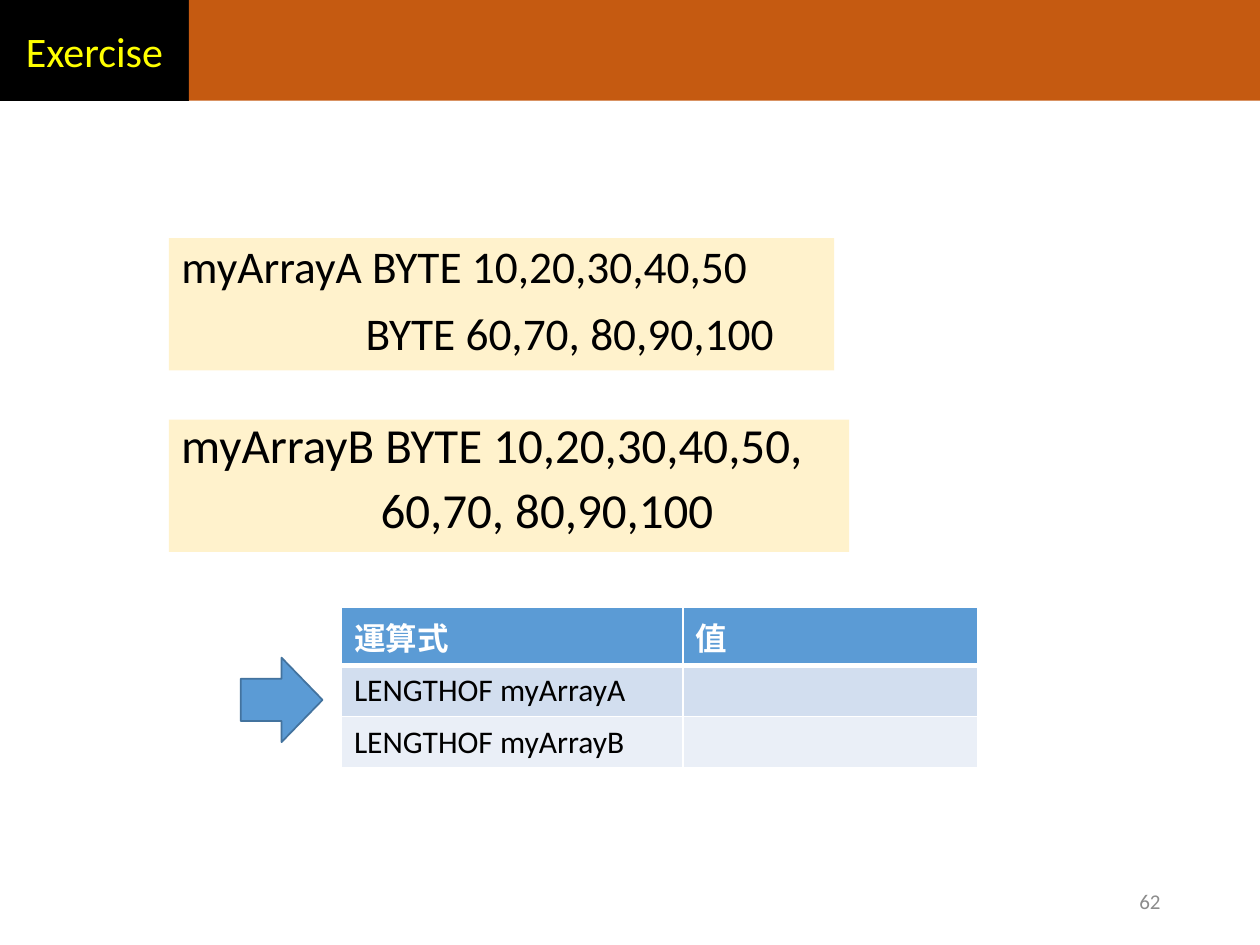
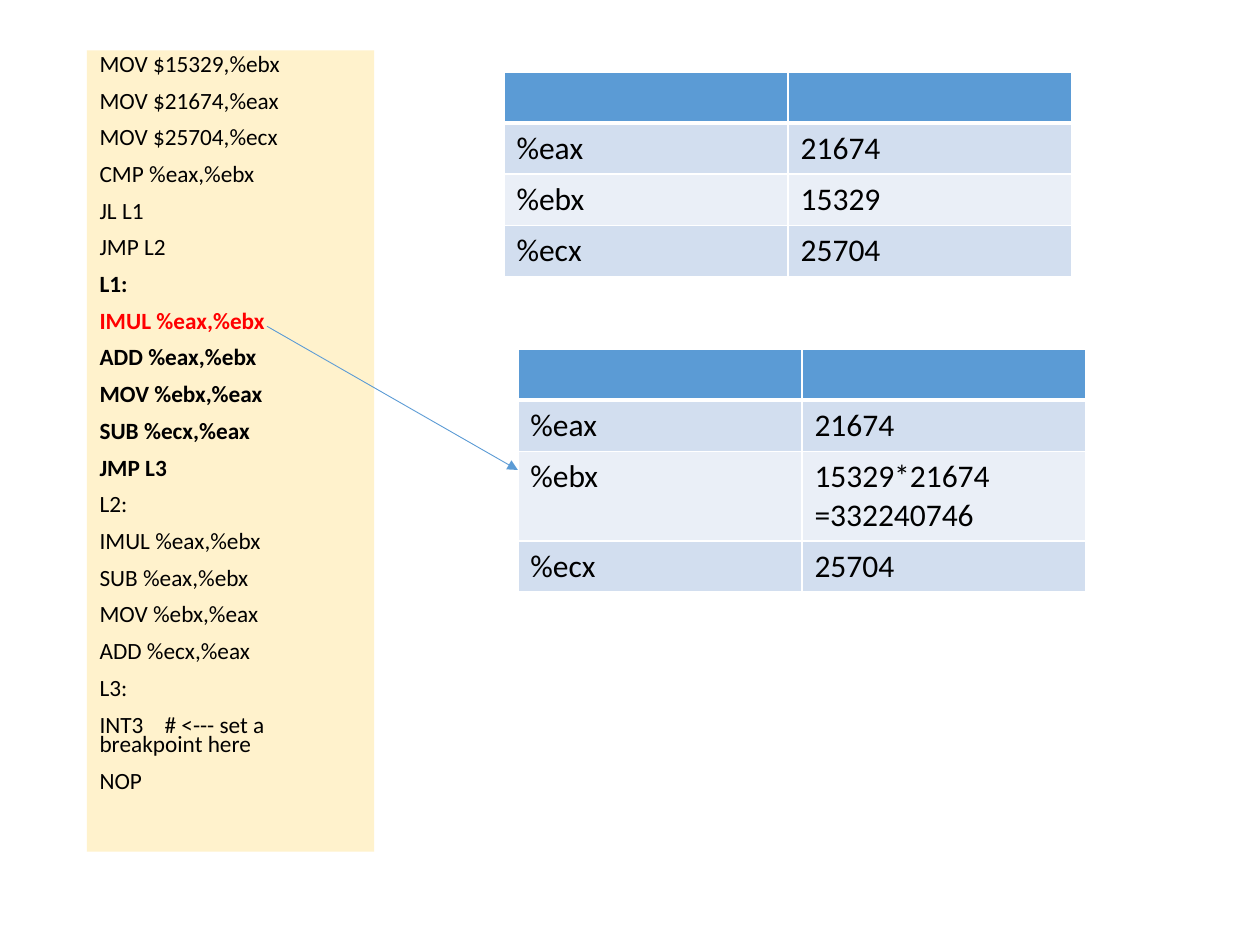
from dataclasses import dataclass

from lxml.etree import SubElement
from pptx import Presentation
from pptx.dml.color import RGBColor
from pptx.enum.shapes import MSO_CONNECTOR, MSO_SHAPE
from pptx.enum.text import MSO_ANCHOR, MSO_AUTO_SIZE, PP_ALIGN
from pptx.oxml import parse_xml
from pptx.oxml.ns import nsdecls, qn
from pptx.util import Inches, Pt

FONT = "Calibri"
COLORS = {
    "black": "000000", "white": "FFFFFF", "yellow": "FFFF00", "red": "FF0000",
    "cream": "FFF2CC", "orange": "C55A11", "blue": "5B9BD5", "edge": "43739E",
    "dark": "D2DEEF", "light": "EAEFF7", "gray": "8C8C8C",
}

# The slide is a grid of 100 columns by 75 rows
COLS, ROWS = 100, 75
WIDTH, HEIGHT = Inches(10), Inches(7.5)
UNIT = WIDTH // COLS
LINE = 4.06  # height of a table row


@dataclass(frozen=True)
class Box:
    left: float
    top: float
    width: float
    height: float

    def place(self) -> tuple:
        return tuple(round(n * UNIT) for n in
                     (self.left, self.top, self.width, self.height))


@dataclass(frozen=True)
class Code:
    box: Box
    lines: list
    size: float
    pitch: float
    gap: float = 10


@dataclass(frozen=True)
class Grid:
    left: float
    top: float
    widths: tuple
    rows: list


def tint(name: str) -> RGBColor:
    return RGBColor.from_string(COLORS[name])


def paint(shape, fill: str) -> None:
    shape.fill.solid()
    shape.fill.fore_color.rgb = tint(fill)


def style(part, size: float, color: str, bold: bool = False) -> None:
    for run in part.runs:
        font = run.font
        font.name, font.size, font.bold = FONT, Pt(size), bold
        font.color.rgb = tint(color)


def move(shape, box: Box) -> None:
    shape.left, shape.top, shape.width, shape.height = box.place()


def add_block(slide, kind, box: Box, fill: str, edge: str = ""):
    shape = slide.shapes.add_shape(kind, *box.place())
    shape.shadow.inherit = False
    paint(shape, fill)
    if edge:
        shape.line.color.rgb = tint(edge)
        shape.line.width = Pt(1)
    else:
        shape.line.fill.background()
    return shape


def add_label(shape, text: str, size: float, color: str, align) -> None:
    frame = shape.text_frame
    frame.text = text
    frame.word_wrap = True
    frame.auto_size = MSO_AUTO_SIZE.NONE
    frame.vertical_anchor = MSO_ANCHOR.MIDDLE
    frame.paragraphs[0].alignment = align
    style(frame.paragraphs[0], size, color)


def fill_code(shape, code: Code) -> None:
    """Set plain code lines on a cream ground."""
    move(shape, code.box)
    paint(shape, "cream")
    frame = shape.text_frame
    frame.text = "\n".join(code.lines)
    frame.word_wrap = True
    frame.auto_size = MSO_AUTO_SIZE.NONE
    frame.vertical_anchor = MSO_ANCHOR.TOP
    for i, part in enumerate(frame.paragraphs):
        props = part._p.get_or_add_pPr()
        props.set("marL", "0")
        props.set("indent", "0")
        SubElement(props, qn("a:buNone"))
        part.alignment = PP_ALIGN.LEFT
        part.line_spacing = code.pitch
        part.space_before = Pt(code.gap if i else 0)
        style(part, code.size, "black")


def add_rules(cell, row: int) -> None:
    """White cell borders, thick under the head row."""
    props = cell._tc.get_or_add_tcPr()
    points = {"L": 1, "R": 1, "T": 3 if row == 1 else 1, "B": 1 if row else 3}
    for i, (side, width) in enumerate(points.items()):
        props.insert(i, parse_xml(
            f'<a:ln{side} {nsdecls("a")} w="{Pt(width)}"><a:solidFill>'
            f'<a:srgbClr val="{COLORS["white"]}"/></a:solidFill></a:ln{side}>'))


def add_grid(slide, grid: Grid) -> None:
    box = Box(grid.left, grid.top, sum(grid.widths), LINE * len(grid.rows))
    table = slide.shapes.add_table(
        len(grid.rows), len(grid.widths), *box.place()).table
    for column, width in zip(table.columns, grid.widths):
        column.width = round(width * UNIT)
    for r, texts in enumerate(grid.rows):
        table.rows[r].height = round(LINE * UNIT)
        for c, text in enumerate(texts):
            cell = table.cell(r, c)
            paint(cell, ("dark" if r % 2 else "light") if r else "blue")
            add_rules(cell, r)
            cell.text = text
            for part in cell.text_frame.paragraphs:
                style(part, 18, "black" if r else "white", bold=r == 0)


def add_arrow(slide, start: tuple, end: tuple) -> None:
    ends = [round(n * UNIT) for n in start + end]
    arrow = slide.shapes.add_connector(MSO_CONNECTOR.STRAIGHT, *ends)
    arrow.line.color.rgb = tint("blue")
    arrow.line.width = Pt(0.5)
    SubElement(arrow.line._get_or_add_ln(), qn("a:tailEnd"), type="triangle")
    SubElement(arrow._element.spPr, qn("a:effectLst"))


def add_band(slide, text: str) -> None:
    """Black title tab and orange band."""
    tab, high = 15, 8
    title = slide.shapes.title
    move(title, Box(0, 0, tab, high))
    paint(title, "black")
    add_label(title, text, 24, "yellow", PP_ALIGN.CENTER)
    add_block(slide, MSO_SHAPE.RECTANGLE, Box(tab, 0, COLS - tab, high), "orange")


def add_number(slide, text: str) -> None:
    box = slide.shapes.add_textbox(*Box(70.6, 69.5, 22.5, 4).place())
    add_label(box, text, 12, "gray", PP_ALIGN.RIGHT)


def build_quiz(deck) -> None:
    slide = deck.slides.add_slide(deck.slide_layouts[1])
    add_band(slide, "Exercise")

    # Two array listings
    first = Code(Box(13.4, 18.9, 52.8, 10.5), [
        "myArrayA BYTE 10,20,30,40,50",
        "                  BYTE 60,70, 80,90,100"], 25.9, 0.9)
    second = Code(Box(13.4, 33.3, 54, 10.5), [
        "myArrayB BYTE 10,20,30,40,50,",
        "                  60,70, 80,90,100"], 28, 0.8)
    fill_code(slide.placeholders[1], first)
    fill_code(add_block(slide, MSO_SHAPE.RECTANGLE, second.box, "cream"), second)

    # Answer table
    add_grid(slide, Grid(27.1, 48.2, (27.1, 23.4), [
        ("運算式", "值"), ("LENGTHOF myArrayA", ""), ("LENGTHOF myArrayB", "")]))
    add_block(slide, MSO_SHAPE.RIGHT_ARROW, Box(19.1, 52.2, 6.5, 6.7),
              "blue", "edge")
    add_number(slide, "62")


def build_trace(deck) -> None:
    slide = deck.slides.add_slide(deck.slide_layouts[1])
    title = slide.shapes.title._element
    title.getparent().remove(title)

    # Program listing, with the branch taken in bold
    lines = [
        "MOV $15329,%ebx", "MOV $21674,%eax", "MOV $25704,%ecx",
        "CMP %eax,%ebx", "JL L1", "JMP L2",
        "L1:", "IMUL %eax,%ebx", "ADD %eax,%ebx", "MOV %ebx,%eax",
        "SUB %ecx,%eax", "JMP L3",
        "L2:", "IMUL %eax,%ebx", "SUB %eax,%ebx", "MOV %ebx,%eax",
        "ADD %ecx,%eax",
        "L3:", "INT3    # <--- set a breakpoint here", "NOP"]
    code = Code(Box(6.9, 4, 22.8, 63.6), lines, 13.3, 0.7, 9.8)
    body = slide.placeholders[1]
    fill_code(body, code)
    start, stop = lines.index("L1:"), lines.index("L2:")
    parts = body.text_frame.paragraphs[start:stop]
    for i, part in enumerate(parts):
        style(part, code.size, "red" if i == 1 else "black", bold=True)

    # Registers before and after the marked line
    for left, top, product in ((40, 5.7, "15329"),
                               (41.1, 27.7, "15329*21674\n=332240746")):
        add_grid(slide, Grid(left, top, (22.55, 22.55), [
            ("", ""), ("%eax", "21674"), ("%ebx", product), ("%ecx", "25704")]))
    add_arrow(slide, (21.2, 25.9), (41.1, 37.3))


def main() -> None:
    deck = Presentation()
    deck.slide_width, deck.slide_height = WIDTH, HEIGHT
    build_quiz(deck)
    build_trace(deck)
    deck.save("out.pptx")


if __name__ == "__main__":
    main()
